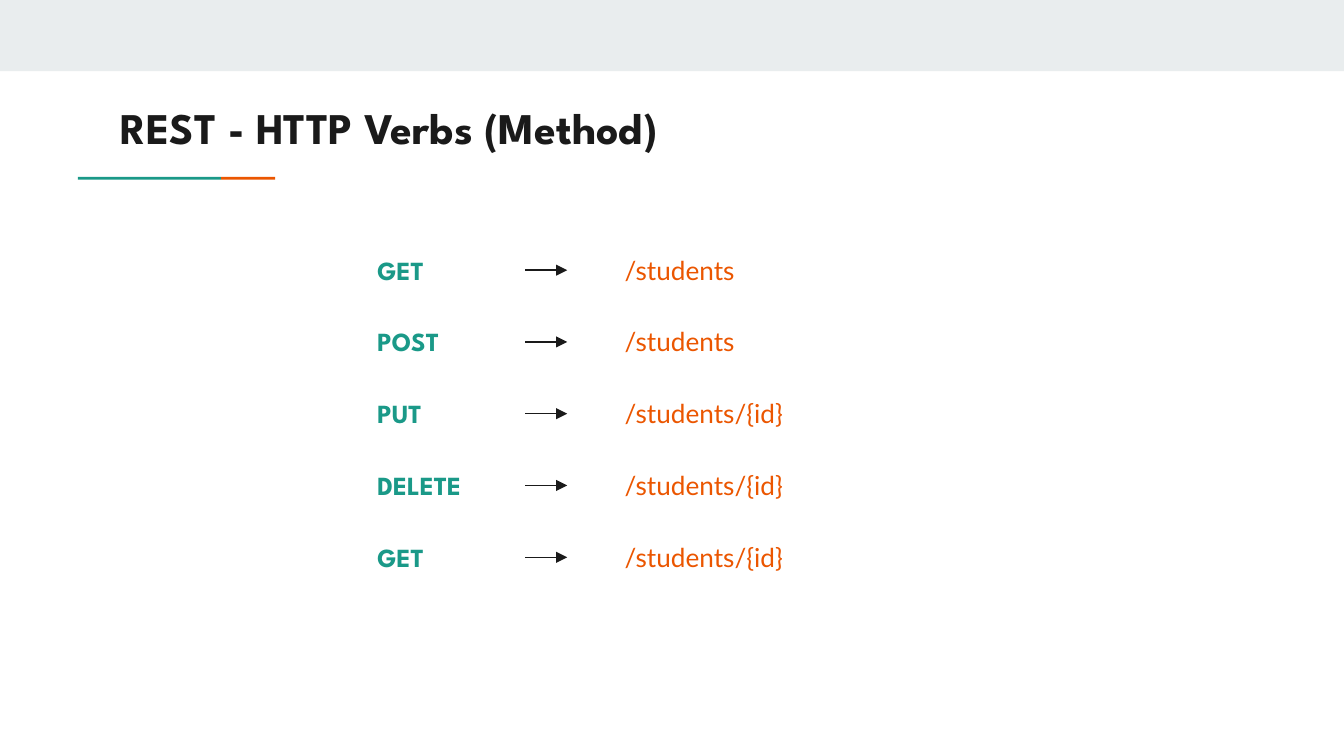
from dataclasses import dataclass

from lxml.etree import SubElement
from pptx import Presentation
from pptx.dml.color import RGBColor
from pptx.enum.shapes import MSO_CONNECTOR as Connector, MSO_SHAPE as Shape
from pptx.enum.text import MSO_ANCHOR as Anchor
from pptx.oxml.ns import qn
from pptx.util import Pt


@dataclass(frozen=True)
class Theme:
    band: str = "E9EDEE"
    ink: str = "1A1A1A"
    teal: str = "1A9988"
    orange: str = "EB5600"
    heading_font: str = "League Spartan"
    body_font: str = "Lato"
    title_size: float = 23.4
    body_size: float = 14


THEME = Theme()

# verb, width of its box, endpoint
ROUTES = [
    ("GET", 45.4, "/students"),
    ("POST", 52.6, "/students"),
    ("PUT", 52.6, "/students/{id}"),
    ("DELETE", 69.1, "/students/{id}"),
    ("GET", 69.1, "/students/{id}"),
]


def add_text(slide, text, left, top, width, height, *, font, size, color, bold=False):
    frame = slide.shapes.add_textbox(Pt(left), Pt(top), Pt(width), Pt(height)).text_frame
    frame.word_wrap = True
    frame.vertical_anchor = Anchor.TOP
    frame.margin_left = frame.margin_right = Pt(7.2)
    frame.margin_top = frame.margin_bottom = Pt(7.2)
    run = frame.paragraphs[0].add_run()
    run.text = text
    run.font.name = font
    run.font.size = Pt(size)
    run.font.bold = bold
    run.font.color.rgb = RGBColor.from_string(color)


def add_bar(slide, left, top, width, height, color):
    bar = slide.shapes.add_shape(Shape.RECTANGLE, Pt(left), Pt(top), Pt(width), Pt(height))
    bar.shadow.inherit = False
    bar.fill.solid()
    bar.fill.fore_color.rgb = RGBColor.from_string(color)
    bar.line.fill.background()


def add_arrow(slide, left, y, length):
    arrow = slide.shapes.add_connector(
        Connector.STRAIGHT, Pt(left), Pt(y), Pt(left + length), Pt(y))
    arrow.line.width = Pt(0.75)
    arrow.line.color.rgb = RGBColor.from_string(THEME.ink)
    SubElement(arrow.line._get_or_add_ln(), qn("a:tailEnd"), type="triangle")
    SubElement(arrow._element.spPr, qn("a:effectLst"))


def add_header(slide, left, top, width, height):
    """Title with a two-coloured rule that starts left of it."""
    add_text(slide, "REST - HTTP Verbs (Method)", left, top, width, height,
             font=THEME.heading_font, size=THEME.title_size, color=THEME.ink, bold=True)
    rule_left, rule_top = left - 15.8, top + 48
    teal_width, orange_width = 76.6, 29
    add_bar(slide, rule_left + teal_width, rule_top, orange_width, 1.5, THEME.orange)
    add_bar(slide, rule_left, rule_top, teal_width, 1.5, THEME.teal)


def add_routes(slide, left, top, width, height):
    """One row per route: verb, arrow, endpoint."""
    row_height = 31.7
    pitch = (height - row_height) / (len(ROUTES) - 1)
    endpoint_offset = 132.5
    for row, (verb, verb_width, endpoint) in enumerate(ROUTES):
        y = top + row * pitch
        add_text(slide, verb, left, y, verb_width, row_height,
                 font=THEME.heading_font, size=THEME.body_size, color=THEME.teal, bold=True)
        add_arrow(slide, left + 86.2, y + row_height / 2, 22.6)
        add_text(slide, endpoint, left + endpoint_offset, y,
                 width - endpoint_offset, row_height,
                 font=THEME.body_font, size=THEME.body_size, color=THEME.orange)


def main():
    deck = Presentation()
    deck.slide_width, deck.slide_height = Pt(720), Pt(405)
    slide = deck.slides.add_slide(deck.slide_layouts[6])
    add_bar(slide, 0, 0, 720, 38.2, THEME.band)
    add_header(slide, 57.6, 46.8, 605.5, 42.5)
    add_routes(slide, 195.1, 128.9, 330.5, 185.5)
    deck.save("out.pptx")


if __name__ == "__main__":
    main()
